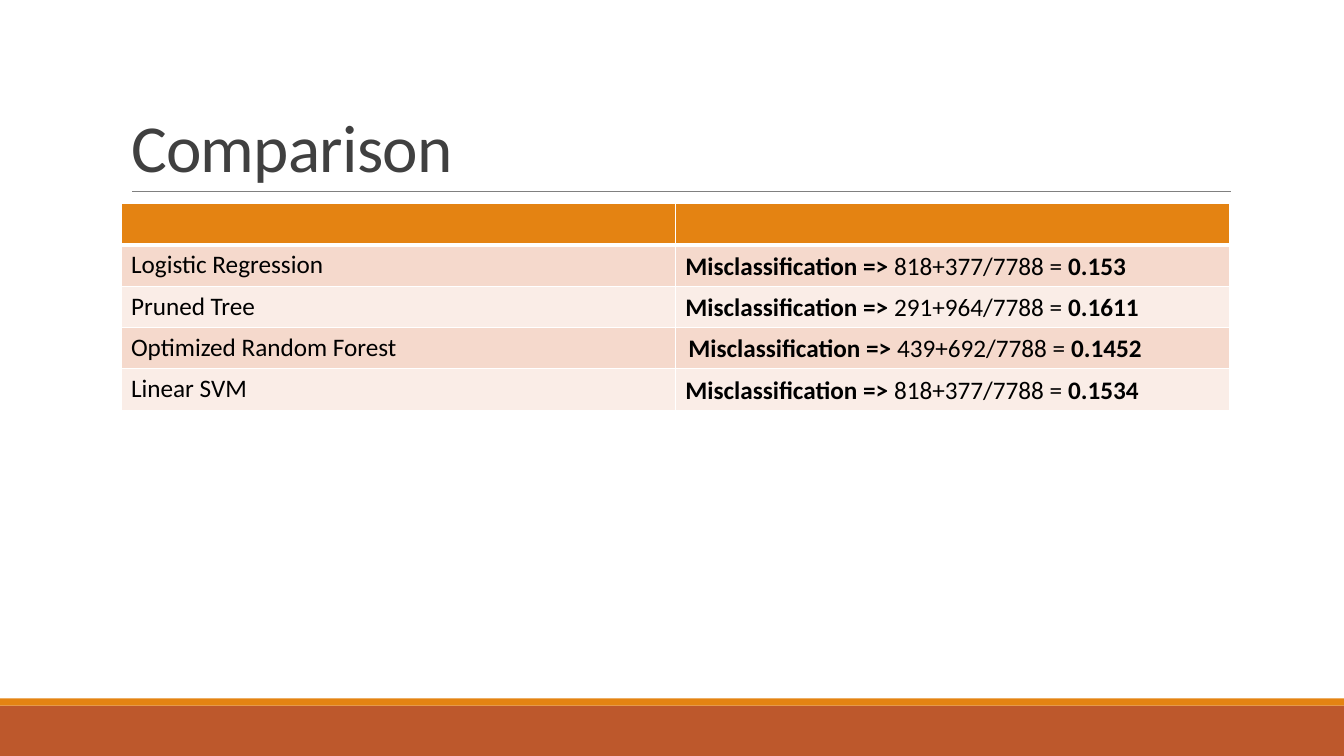
from pptx import Presentation
from pptx.dml.color import RGBColor
from pptx.enum.shapes import MSO_CONNECTOR as Connector, MSO_SHAPE as Shape
from pptx.enum.text import MSO_ANCHOR as Anchor, MSO_AUTO_SIZE as AutoSize, PP_ALIGN as Align
from pptx.oxml import parse_xml
from pptx.oxml.ns import nsdecls
from pptx.util import Inches, Pt

WHITE = RGBColor(0xFF, 0xFF, 0xFF)
BLACK = RGBColor(0, 0, 0)
CHARCOAL = RGBColor(0x40, 0x40, 0x40)
GRAY = RGBColor(0x80, 0x80, 0x80)
ORANGE = RGBColor(0xE4, 0x83, 0x12)
RUST = RGBColor(0xBD, 0x58, 0x2C)
BANDS = (RGBColor(0xF5, 0xD9, 0xCC), RGBColor(0xFA, 0xED, 0xE7))

# Model, left edge of its result, calculation, rate
RESULTS = [
    ("Logistic Regression", 6.7, "818+377/7788 = ", "0.153"),
    ("Pruned Tree", 6.7, "291+964/7788 = ", "0.1611"),
    ("Optimized Random Forest", 6.73, "439+692/7788 = ", "0.1452"),
    ("Linear SVM", 6.7, "818+377/7788 = ", "0.1534"),
]
TABLE_LEFT, TABLE_TOP, COLUMN_WIDTH, ROW_HEIGHT = 1.2, 2.02, 5.5, 0.41


class SlideBuilder:
    font = "Calibri"

    def __init__(self, deck):
        self.page = deck.slides.add_slide(deck.slide_layouts[5])
        self.shapes = self.page.shapes

    def add_span(self, para, text, size=18, color=BLACK, bold=False):
        span = para.add_run()
        span.text = text
        values = {"name": self.font, "size": Pt(size), "bold": bold}
        for name, value in values.items():
            setattr(span.font, name, value)
        span.font.color.rgb = color
        return span

    def title(self, text, *place):
        box = self.shapes.title
        for name, value in zip(("left", "top", "width", "height"), place):
            setattr(box, name, Inches(value))
        frame = box.text_frame
        values = {"vertical_anchor": Anchor.BOTTOM, "word_wrap": True, "auto_size": AutoSize.NONE}
        for name, value in values.items():
            setattr(frame, name, value)
        para = frame.paragraphs[0]
        para.alignment, para.line_spacing = Align.LEFT, 0.85
        span = self.add_span(para, text, 48, CHARCOAL)
        span.font._element.set("spc", "-50")

    def bar(self, color, *place):
        box = self.shapes.add_shape(Shape.RECTANGLE, *map(Inches, place))
        box.shadow.inherit = False
        box.fill.solid()
        box.fill.fore_color.rgb = color
        box.line.fill.background()

    def rule(self, color, width, *ends):
        line = self.shapes.add_connector(Connector.STRAIGHT, *map(Inches, ends))
        line.line.color.rgb = color
        line.line.width = Pt(width)
        line._element.spPr.append(parse_xml(f"<a:effectLst {nsdecls('a')}/>"))

    def cell(self, cell, color, borders):
        properties = cell._tc.get_or_add_tcPr()
        for side, width in borders.items():
            properties.append(parse_xml(
                f'<a:ln{side} {nsdecls("a")} w="{int(Pt(width))}"><a:solidFill>'
                f'<a:srgbClr val="{WHITE}"/></a:solidFill></a:ln{side}>'))
        cell.fill.solid()
        cell.fill.fore_color.rgb = color

    def table(self, labels, left, top, column_width, row_height):
        count = len(labels) + 1
        place = map(Inches, (left, top, 2 * column_width, count * row_height))
        grid = self.shapes.add_table(count, 2, *place).table
        for row_number, row in enumerate(grid.rows):
            row.height = Inches(row_height)
            color = BANDS[(row_number - 1) % 2] if row_number else ORANGE
            borders = {"L": 1, "R": 1, "T": 3 if row_number == 1 else 1,
                       "B": 1 if row_number else 3}
            for cell in row.cells:
                self.cell(cell, color, borders)
            if row_number:
                self.add_span(row.cells[0].text_frame.paragraphs[0], labels[row_number - 1])

    def result(self, calculation, rate, *place):
        frame = self.shapes.add_textbox(*map(Inches, place)).text_frame
        frame.word_wrap = True
        para = frame.paragraphs[0]
        self.add_span(para, "Misclassification => ", bold=True)
        self.add_span(para, calculation)
        self.add_span(para, rate, bold=True)


def main():
    deck = Presentation()
    deck.slide_width, deck.slide_height = Inches(13.33), Inches(7.5)
    slide = SlideBuilder(deck)

    # Footer bands and title rule
    slide.bar(RUST, 0, 7, 13.33, 0.5)
    slide.bar(ORANGE, 0, 6.93, 13.33, 0.07)
    slide.rule(GRAY, 0.5, 1.31, 1.9, 12.21, 1.9)

    # Title
    slide.title("Comparison", 1.2, 0.31, 11, 1.59)

    # Table of models with a result over each row
    slide.table([result[0] for result in RESULTS],
                TABLE_LEFT, TABLE_TOP, COLUMN_WIDTH, ROW_HEIGHT)
    for number, (_, left, calculation, rate) in enumerate(RESULTS, 1):
        top = TABLE_TOP + number * ROW_HEIGHT
        slide.result(calculation, rate, left, top, 4.9, 0.4)

    deck.save("out.pptx")


if __name__ == "__main__":
    main()
